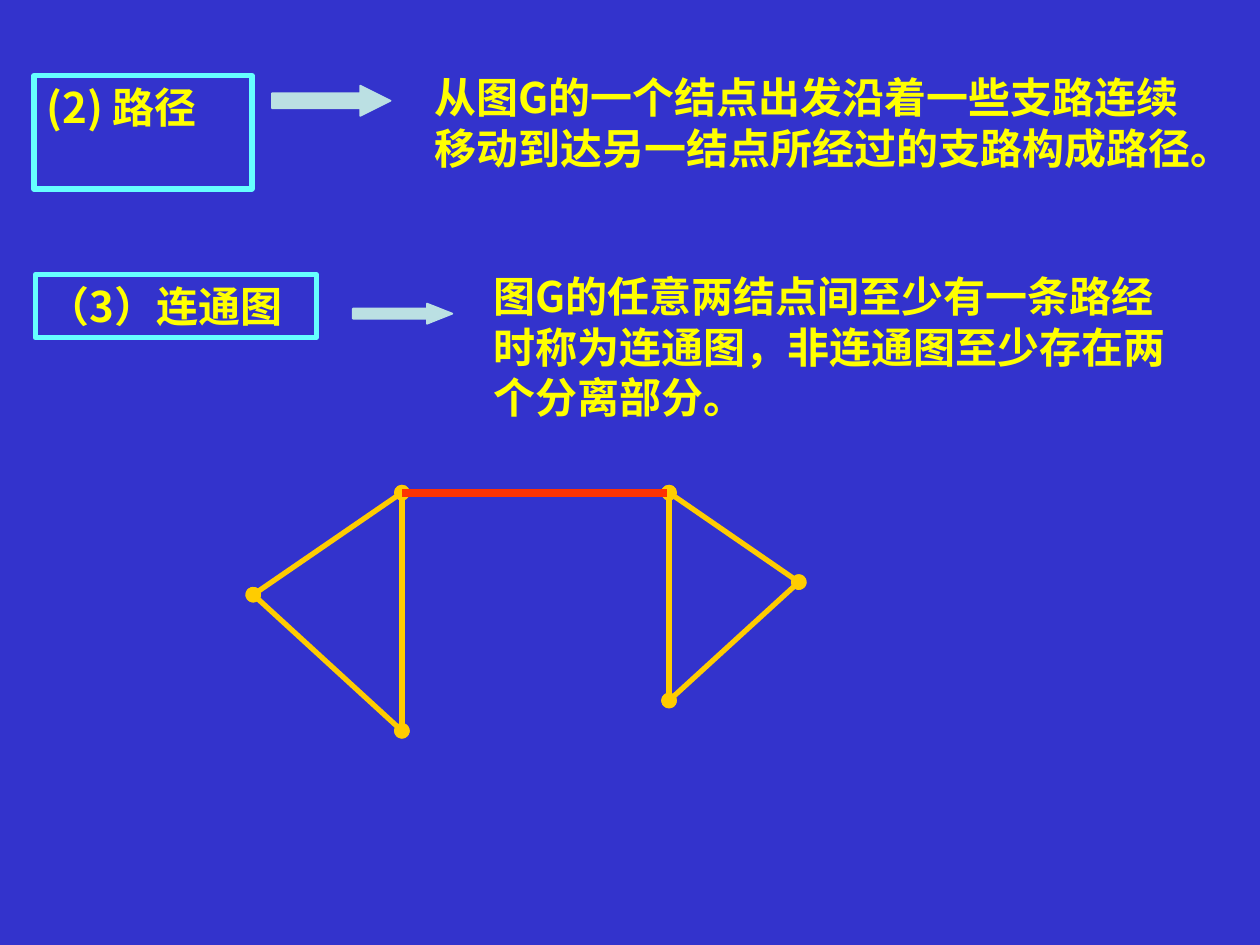
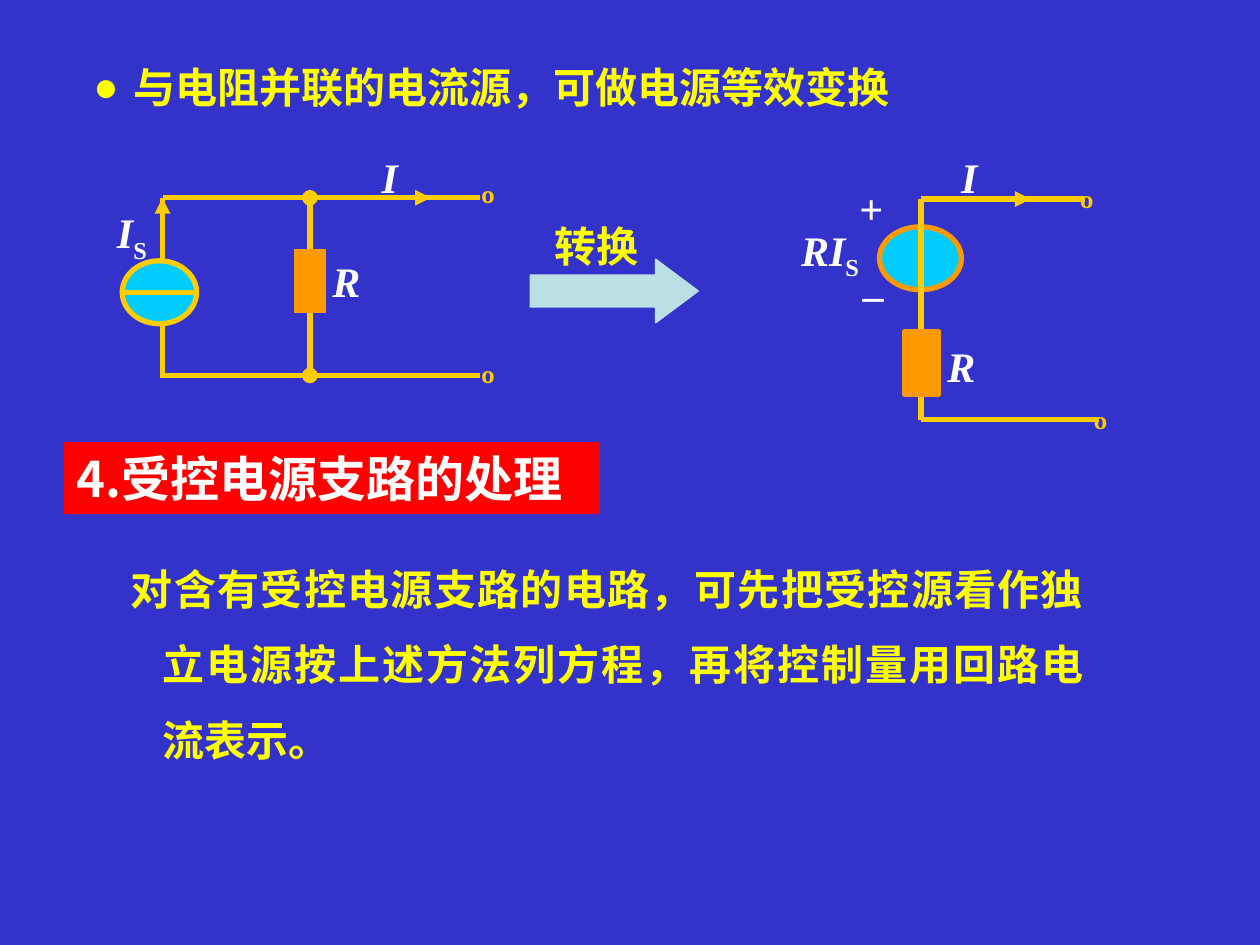
import pptx
import pptx.dml.color
import pptx.enum.shapes
import pptx.enum.text
import pptx.oxml.ns
import pptx.util
from dataclasses import dataclass
from lxml import etree
from typing import Any

Inches = pptx.util.Inches
Pt = pptx.util.Pt
RGBColor = pptx.dml.color.RGBColor
Shapes = pptx.enum.shapes.MSO_SHAPE
Align = pptx.enum.text.PP_ALIGN
Anchor = pptx.enum.text.MSO_ANCHOR
AutoSize = pptx.enum.text.MSO_AUTO_SIZE
qn = pptx.oxml.ns.qn

BLUE = RGBColor(0x33, 0x33, 0xCC)
YELLOW = RGBColor(0xFF, 0xFF, 0x00)
WHITE = RGBColor(0xFF, 0xFF, 0xFF)
AQUA = RGBColor(0x66, 0xFF, 0xFF)
PALE = RGBColor(0xBB, 0xE0, 0xE3)
GOLD = RGBColor(0xFF, 0xCC, 0x00)
ORANGE = RGBColor(0xFF, 0x99, 0x00)
CYAN = RGBColor(0x00, 0xCC, 0xFF)
SCARLET = RGBColor(0xFF, 0x33, 0x00)
RED = RGBColor(0xFF, 0x00, 0x00)
CHINESE_FONT = "Noto Sans CJK SC"
SYMBOL_FONT = "Times New Roman"


def write_text(shape, text, subscript="", size=24, font=CHINESE_FONT, color=YELLOW,
               italic=False, align=Align.LEFT, anchor=Anchor.TOP, wrap=True,
               margin=0, indent=0, line_spacing=1.0, bullet=None):
    frame = shape.text_frame
    frame.word_wrap = wrap
    frame.auto_size = AutoSize.NONE if wrap else AutoSize.SHAPE_TO_FIT_TEXT
    frame.vertical_anchor = anchor
    frame.margin_left = frame.margin_right = Inches(0.1)
    frame.margin_top = frame.margin_bottom = Inches(0.05)
    paragraph = frame.paragraphs[0]
    paragraph.alignment = align
    paragraph.line_spacing = line_spacing
    paragraph.space_before = Pt(0)
    properties = paragraph._p.get_or_add_pPr()
    properties.set("marL", str(Inches(margin)))
    properties.set("indent", str(Inches(indent)))
    if bullet:
        etree.SubElement(properties, qn("a:buChar")).set("char", bullet)
    for content, lowered in ((text, False), (subscript, True)):
        if not content:
            continue
        run = paragraph.add_run()
        run.text = content
        run.font.size = Pt(size)
        run.font.bold = True
        run.font.italic = italic and not lowered
        run.font.color.rgb = color
        run.font.name = font
        run_properties = run._r.get_or_add_rPr()
        etree.SubElement(run_properties, qn("a:ea")).set("typeface", CHINESE_FONT)
        if lowered:
            run_properties.set("baseline", "-25000")


def move(shape, left, top, width, height):
    shape.left, shape.top = Inches(left), Inches(top)
    shape.width, shape.height = Inches(width), Inches(height)


@dataclass
class Region:
    slide: Any
    left: float = 0
    top: float = 0

    def box(self, left, top, width, height):
        return [Inches(value) for value in
                (self.left + left, self.top + top, width, height)]

    def text(self, box, text, **style):
        shape = self.slide.shapes.add_textbox(*self.box(*box))
        write_text(shape, text, **style)

    def symbol(self, box, text, **style):
        self.text(box, text, **{"font": SYMBOL_FONT, "color": WHITE, **style})

    def variable(self, box, text, **style):
        self.symbol(box, text, italic=True, **style)

    def sign(self, box, text, **style):
        self.symbol(box, text, align=Align.CENTER, anchor=Anchor.MIDDLE, **style)

    def shape(self, kind, box, fill=None, line=None, width=1):
        shape = self.slide.shapes.add_shape(kind, *self.box(*box))
        shape.shadow.inherit = False
        if fill is None:
            shape.fill.background()
        else:
            shape.fill.solid()
            shape.fill.fore_color.rgb = fill
        shape.line.color.rgb = line or fill
        shape.line.width = Pt(width)
        return shape

    def arrow(self, box, head_length):
        shape = self.shape(Shapes.RIGHT_ARROW, box, fill=PALE)
        shape.adjustments[0] = 0.5
        shape.adjustments[1] = head_length

    def wire(self, start, end, color=GOLD, width=3, head=None, tail=None):
        points = [Inches(value) for value in (
            self.left + start[0], self.top + start[1],
            self.left + end[0], self.top + end[1])]
        connector = self.slide.shapes.add_connector(
            pptx.enum.shapes.MSO_CONNECTOR.STRAIGHT, *points)
        connector.line.color.rgb = color
        connector.line.width = Pt(width)
        line = connector.line._get_or_add_ln()
        for tag, kind in (("a:headEnd", head), ("a:tailEnd", tail)):
            if kind:
                etree.SubElement(line, qn(tag)).set("type", kind)
        etree.SubElement(connector._element.spPr, qn("a:effectLst"))


def add_definition(region, term, term_box, arrow_box, head_length,
                   meaning, meaning_box, wrap_term=True):
    region.text(meaning_box, meaning)
    frame = region.shape(Shapes.RECTANGLE, term_box, line=AQUA, width=3)
    write_text(frame, term, wrap=wrap_term)
    region.arrow(arrow_box, head_length)


def add_graph(region):
    left_top, left_tip, left_bottom = (1.18, 0), (0, 0.81), (1.18, 1.89)
    right_top, right_tip, right_bottom = (3.3, 0), (4.33, 0.71), (3.3, 1.65)
    dotted = {"head": "oval", "tail": "oval"}
    for top, tip, bottom in ((left_top, left_tip, left_bottom),
                             (right_top, right_tip, right_bottom)):
        for start, end in ((top, tip), (tip, bottom), (top, bottom)):
            region.wire(start, end, **dotted)
    region.wire(left_top, (3.28, 0), color=SCARLET, width=4.5)


def add_current_source_circuit(region):
    top, bottom, source_x, resistor_x, terminal_x = 0.42, 1.83, 0.49, 1.66, 3.01
    region.wire((source_x, top), (terminal_x, top))
    region.wire((source_x - 0.02, bottom), (terminal_x, bottom))
    region.wire((source_x, top), (source_x, bottom))
    region.shape(Shapes.OVAL, (0.17, 0.92, 0.59, 0.5), fill=CYAN, line=GOLD, width=3)
    region.wire((0.17, 1.17), (0.76, 1.17))
    region.wire((source_x, 0.83), (source_x, top), tail="triangle")
    region.wire((resistor_x, bottom), (resistor_x, top), head="oval", tail="oval")
    region.shape(Shapes.RECTANGLE, (resistor_x - 0.12, 0.83, 0.24, 0.5), fill=ORANGE)
    region.wire((resistor_x, top), (2.62, top), tail="triangle")
    region.variable((2.13, 0, 0.49, 0.5), "I")
    region.variable((1.74, 0.83, 0.44, 0.5), "R")
    region.variable((0.03, 0.44, 0.59, 0.56), "I", subscript="S")
    for terminal_top in (0.21, 1.64):
        region.sign((2.92, terminal_top, 0.24, 0.5), "º", color=GOLD)


def add_conversion(region):
    region.arrow((0, 0.36, 1.33, 0.5), 0.67)
    region.symbol((0.09, 0, 0.92, 0.5), "转换", color=YELLOW)


def add_voltage_source_circuit(region):
    top, bottom, wire_x = 0.43, 2.18, 1.06
    region.shape(Shapes.OVAL, (0.73, 0.65, 0.65, 0.5), fill=CYAN, line=ORANGE, width=3)
    region.sign((0.47, 0.25, 0.39, 0.5), "+", wrap=False)
    region.sign((0.44, 0.82, 0.48, 0.5), "_")
    region.variable((0.01, 0.58, 0.89, 0.56), "RI", subscript="S")
    region.wire((wire_x, top), (wire_x, bottom))
    region.wire((wire_x, top), (2.36, top))
    region.wire((wire_x, bottom), (2.47, bottom))
    region.wire((wire_x, top), (1.93, top), tail="triangle")
    region.variable((1.28, 0, 0.54, 0.5), "I")
    region.shape(Shapes.RECTANGLE, (0.93, 1.48, 0.27, 0.5), fill=ORANGE, width=3)
    region.variable((1.17, 1.5, 1.67, 0.5), "R")
    for left, terminal_top in ((2.22, 0.25), (2.33, 2)):
        region.sign((left, terminal_top, 0.31, 0.5), "º", color=GOLD)


def build_graph_slide(presentation):
    slide = presentation.slides.add_slide(presentation.slide_layouts[6])
    add_definition(
        Region(slide, 0.27, 0.52), "(2) 路径", (0, 0.08, 1.73, 0.9),
        (1.89, 0.16, 0.94, 0.24), 1.0,
        "从图G的一个结点出发沿着一些支路连续移动到达另一结点所经过的支路构成路径。",
        (3.08, 0, 6.22, 1.3))
    add_definition(
        Region(slide, 0.28, 2.1), "（3）连通图", (0, 0.08, 2.23, 0.5),
        (2.52, 0.31, 0.79, 0.16), 1.26,
        "图G的任意两结点间至少有一条路经时称为连通图，非连通图至少存在两个分离部分。",
        (3.54, 0, 5.67, 1.3), wrap_term=False)
    add_graph(Region(slide, 2.01, 3.91))


def build_source_slide(presentation):
    slide = presentation.slides.add_slide(presentation.slide_layouts[1])
    point = slide.placeholders[1]
    move(point, 0.64, 0.44, 6.73, 0.5)
    write_text(point, "与电阻并联的电流源，可做电源等效变换",
               bullet="●", margin=0.32, indent=-0.32)
    add_current_source_circuit(Region(slide, 0.8, 1.15))
    add_conversion(Region(slide, 4.21, 1.7))
    add_voltage_source_circuit(Region(slide, 6.25, 1.15))
    title = slide.shapes.title
    move(title, 0.51, 3.51, 4.25, 0.57)
    title.fill.solid()
    title.fill.fore_color.rgb = RED
    write_text(title, "4.受控电源支路的处理", size=28, color=WHITE)
    Region(slide).text(
        (0.67, 4.22, 8.03, 1.9),
        "对含有受控电源支路的电路，可先把受控源看作独立电源按上述方法列方程，"
        "再将控制量用回路电流表示。",
        align=Align.JUSTIFY, margin=0.52, indent=-0.25, line_spacing=1.5)


def main():
    presentation = pptx.Presentation()
    presentation.slide_width = Inches(10)
    presentation.slide_height = Inches(7.5)
    background = presentation.slide_master.background.fill
    background.solid()
    background.fore_color.rgb = BLUE
    build_graph_slide(presentation)
    build_source_slide(presentation)
    presentation.save("out.pptx")


if __name__ == "__main__":
    main()
